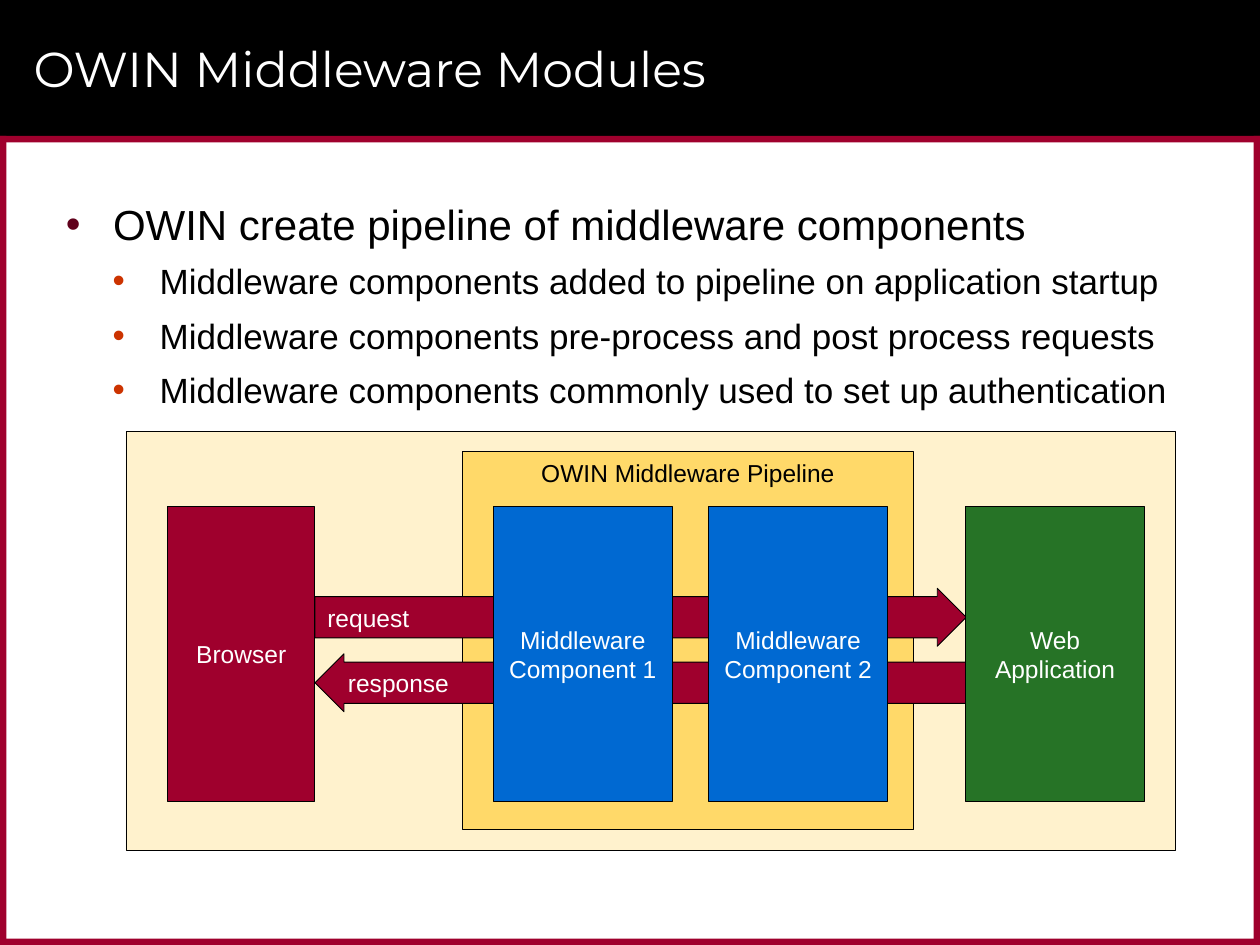
import pptx
import pptx.util
import pptx.dml.color
import pptx.enum.shapes
import pptx.enum.text
from lxml import etree

Cm, Pt = pptx.util.Cm, pptx.util.Pt
Kind = pptx.enum.shapes.MSO_SHAPE
Align = pptx.enum.text.PP_ALIGN
Anchor = pptx.enum.text.MSO_ANCHOR

hues = {
    "black": "000000", "white": "FFFFFF", "red": "9F002D",
    "cream": "FFF2CD", "gold": "FFD969", "blue": "0069D2",
    "green": "267326", "maroon": "60001B", "rust": "CC3300",
}

deck = pptx.Presentation()
deck.slide_width, deck.slide_height = Cm(25.4), Cm(19.05)
slide = deck.slides.add_slide(deck.slide_layouts[6])


def write(para, text, size, hue, font="Arial"):
    run = para.add_run()
    run.text = text
    run.font.size = Pt(size)
    run.font.name = font
    run.font.color.rgb = pptx.dml.color.RGBColor.from_string(hues[hue])


def draw(kind, place, fill, lines=(), hue="white", align=Align.CENTER,
         anchor=Anchor.MIDDLE, edge=True):
    shape = slide.shapes.add_shape(kind, *map(Cm, place))
    shape.shadow.inherit = False
    shape.fill.solid()
    shape.fill.fore_color.rgb = pptx.dml.color.RGBColor.from_string(hues[fill])
    if edge:
        shape.line.width = Pt(0.5)
        shape.line.color.rgb = pptx.dml.color.RGBColor.from_string(hues["black"])
    else:
        shape.line.fill.background()
    frame = shape.text_frame
    frame.vertical_anchor = anchor
    for num, text in enumerate(lines):
        para = frame.add_paragraph() if num else frame.paragraphs[0]
        para.alignment = align
        write(para, text, 14, hue)
    return shape


# Header band and frame
draw(Kind.RECTANGLE, (0, 0, 25.4, 2.74), "black", edge=False)
for place in [(0, 2.74, 25.4, 0.13), (0, 18.92, 25.4, 0.13),
              (25.27, 2.74, 0.13, 16.31), (0, 2.74, 0.13, 16.31)]:
    draw(Kind.RECTANGLE, place, "red", edge=False)

# Title
title = slide.shapes.add_textbox(Cm(0.43), Cm(0.2), Cm(23.93), Cm(2.34)).text_frame
title.word_wrap = True
title.vertical_anchor = Anchor.MIDDLE
write(title.paragraphs[0], "OWIN Middleware Modules", 28, "white", "Montserrat")

# Bullets: level, text
points = [
    (0, "OWIN create pipeline of middleware components"),
    (1, "Middleware components added to pipeline on application startup"),
    (1, "Middleware components pre-process and post process requests"),
    (1, "Middleware components commonly used to set up authentication"),
]
# Size, space before, space after, bullet hue, left margin
looks = [(24, 6, 2, "maroon", 0.96), (20, 4, 3, "rust", 1.9)]
body = slide.shapes.add_textbox(Cm(1.07), Cm(4.01), Cm(23.29), Cm(14.4)).text_frame
body.word_wrap = True
body.margin_top = 0
for num, (level, text) in enumerate(points):
    size, above, below, dot, left = looks[level]
    para = body.add_paragraph() if num else body.paragraphs[0]
    para.level = level
    para.space_before, para.space_after = Pt(above), Pt(below)
    write(para, text, size, "black")
    props = para._p.get_or_add_pPr()
    props.set("marL", str(Cm(left)))
    props.set("indent", str(-Cm(0.95)))
    space = "{" + props.nsmap["a"] + "}"
    tint = etree.SubElement(props, space + "buClr")
    etree.SubElement(tint, space + "srgbClr", val=hues[dot])
    etree.SubElement(props, space + "buFont", typeface="Arial")
    etree.SubElement(props, space + "buChar", char="•")

# Diagram panels
draw(Kind.RECTANGLE, (2.54, 8.69, 21.16, 8.46), "cream")
draw(Kind.RECTANGLE, (9.32, 9.1, 9.1, 7.62), "gold",
     ["OWIN Middleware Pipeline"], "black", anchor=Anchor.TOP)

# Arrows, passing behind the boxes
for kind, top, text in [(Kind.RIGHT_ARROW, 11.86, "request"),
                        (Kind.LEFT_ARROW, 13.18, "response")]:
    arrow = draw(kind, (6.35, top, 13.13, 1.17), "red", [text], align=Align.LEFT)
    arrow.adjustments[0] = 0.71
    arrow.adjustments[1] = 0.5

# Boxes
for left, width, fill, lines in [
    (3.38, 2.97, "red", ["Browser"]),
    (9.95, 3.6, "blue", ["Middleware", "Component 1"]),
    (14.29, 3.6, "blue", ["Middleware", "Component 2"]),
    (19.47, 3.6, "green", ["Web", "Application"]),
]:
    draw(Kind.RECTANGLE, (left, 10.22, width, 5.93), fill, lines)

deck.save("out.pptx")
